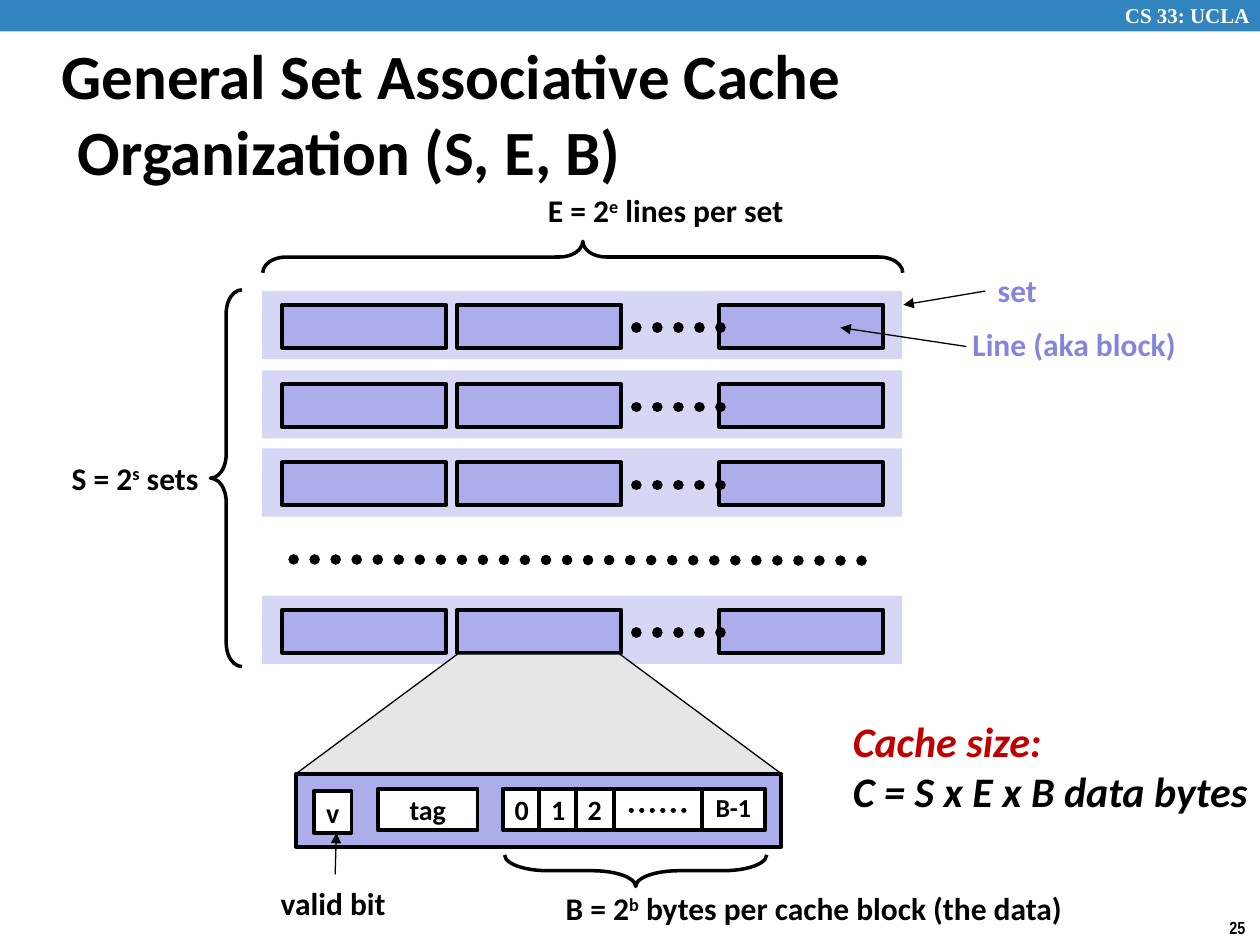
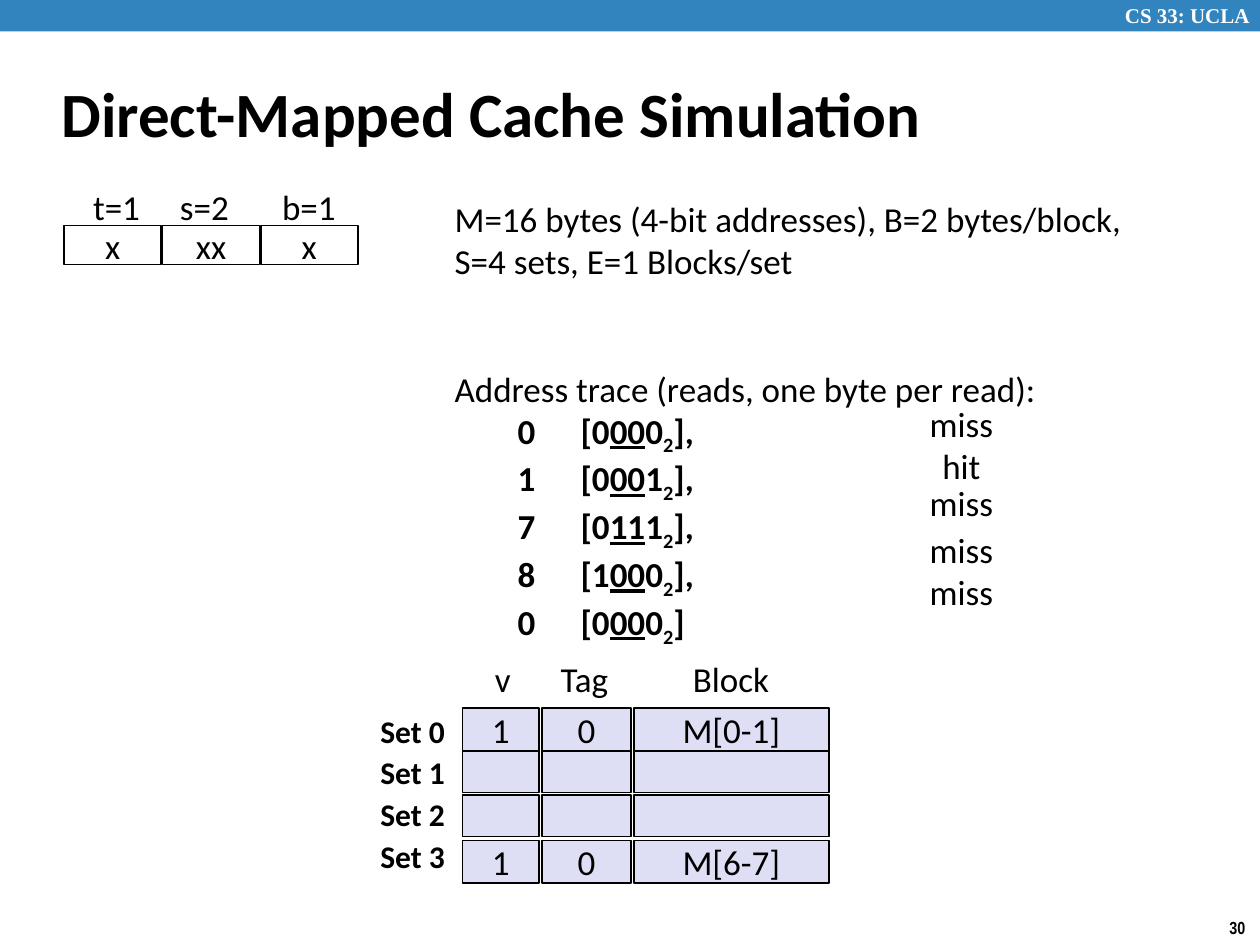
from pptx import Presentation
from pptx import util as u
from pptx.dml.color import RGBColor
from pptx.enum import dml, shapes, text
from pptx.oxml import ns
from lxml import etree

In = u.Inches
BLACK = RGBColor(0, 0, 0)
WHITE = RGBColor(255, 255, 255)
BLUE = RGBColor(0x32, 0x84, 0xBF)
PALE = RGBColor(0xD6, 0xD6, 0xF5)
LILAC = RGBColor(0xAD, 0xAD, 0xEB)
VIOLET = RGBColor(0x85, 0x85, 0xE0)
GREY = RGBColor(0xE6, 0xE6, 0xE6)
CELL = RGBColor(0xDE, 0xDF, 0xF5)
RED = RGBColor(0xC0, 0, 0)

KIND = shapes.MSO_SHAPE
CENTER = text.PP_ALIGN.CENTER
MIDDLE = text.MSO_ANCHOR.MIDDLE

PLAIN = dict(size=20)
BOLD = dict(size=18, bold=True)
TITLE = dict(size=36, bold=True)
BYTE = dict(size=16, bold=True)


def add_run(para, words, name="Calibri", size=18, color=BLACK, base=0, **fmt):
    run = para.add_run()
    run.text = words
    run.font.color.rgb = color
    for key, value in dict(fmt, name=name, size=u.Pt(size)).items():
        setattr(run.font, key, value)
    if base:
        run._r.get_or_add_rPr().set("baseline", str(base * 1000))


def write(frame, paras, fmt, **layout):
    """Fill a frame; each paragraph is a string or a list of (words, changes)."""
    for i, parts in enumerate(paras):
        para = frame.paragraphs[0] if i == 0 else frame.add_paragraph()
        for key, value in layout.items():
            setattr(para, key, value)
        if isinstance(parts, str):
            parts = [(parts, {})]
        for words, change in parts:
            add_run(para, words, **{**fmt, **change})


def label(slide, at, paras, fmt, wrap=False, **layout):
    box = slide.shapes.add_textbox(*map(In, at))
    frame = box.text_frame
    frame.word_wrap = wrap
    frame.auto_size = text.MSO_AUTO_SIZE.SHAPE_TO_FIT_TEXT
    write(frame, [paras] if isinstance(paras, str) else paras, fmt, **layout)
    return frame


def block(slide, at, fill=None, line=None, kind=KIND.RECTANGLE, adj=(), turn=0,
          words="", fmt=PLAIN, **layout):
    """Preset shape; without a fill or a line width that part stays empty."""
    shape = slide.shapes.add_shape(kind, *map(In, at))
    shape.shadow.inherit = False
    shape.rotation = turn
    for i, value in enumerate(adj):
        shape.adjustments[i] = value
    if fill is None:
        shape.fill.background()
    else:
        shape.fill.solid()
        shape.fill.fore_color.rgb = fill
    if line is None:
        shape.line.fill.background()
    else:
        shape.line.color.rgb = BLACK
        shape.line.width = u.Pt(line)
    if words:
        frame = shape.text_frame
        frame.word_wrap = False
        frame.vertical_anchor = MIDDLE
        write(frame, [words], fmt, alignment=CENTER, **layout)


def link(slide, start, end, width):
    line = slide.shapes.add_connector(
        shapes.MSO_CONNECTOR.STRAIGHT, *map(In, start + end))
    line.line.color.rgb = BLACK
    line.line.width = u.Pt(width)
    etree.SubElement(line._element.spPr, ns.qn("a:effectLst"))
    return line.line


def dots(slide, start, end, width=6):
    line = link(slide, start, end, width)
    line.dash_style = dml.MSO_LINE.ROUND_DOT
    line._get_or_add_ln().set("cap", "rnd")


def arrow(slide, start, end):
    line = link(slide, start, end, 0.75)
    etree.SubElement(line._get_or_add_ln(), ns.qn("a:tailEnd"), type="triangle")


def brace(slide, at, bend=0.75, turn=0):
    block(slide, at, line=2, kind=KIND.LEFT_BRACE, adj=(bend, 0.5), turn=turn)


def power(lead, top, rest=""):
    return [[(lead, {}), (top, dict(base=30)), (rest, {})]]


def start(deck, title, at, page):
    """Add a slide with the top band, page number and title."""
    slide = deck.slides.add_slide(deck.slide_layouts[6])
    block(slide, (0, 0, 10, 0.25), BLUE)
    label(slide, (8.83, -0.03, 1.24, 0.3), "CS 33: UCLA",
          dict(name="Times New Roman", size=12, bold=True, color=WHITE), wrap=True)
    label(slide, (9.66, 7.23, 0.34, 0.27), page,
          dict(name="Arial Narrow", size=10, bold=True))
    frame = label(slide, at, title, TITLE, wrap=True)
    frame.auto_size = text.MSO_AUTO_SIZE.NONE
    frame.vertical_anchor = MIDDLE
    props = frame.paragraphs[0]._p.get_or_add_pPr()
    props.set("marL", str(In(0.13)))
    props.set("indent", str(-In(0.13)))
    return slide


def cache_set(slide, top):
    block(slide, (2.08, top, 5.08, 0.54), PALE)
    for left in (2.24, 3.63, 5.71):
        block(slide, (left, top + 0.11, 1.3, 0.34), LILAC, 2.25)
    dots(slide, (5.05, top + 0.29), (5.72, top + 0.29))


def cache_line(slide):
    """Zoomed view of one line: valid bit, tag and bytes."""
    block(slide, (2.35, 5.19, 3.85, 0.95), GREY, 0.75, KIND.TRAPEZOID, (1.35,))
    block(slide, (2.35, 6.14, 3.85, 0.58), LILAC, 2.25)
    fields = [(3.99 + 0.29 * i, 6.26, 0.3, str(i)) for i in range(3)]
    fields += [(4.87, 6.26, 0.7, ""), (3, 6.26, 0.79, "tag"), (2.49, 6.28, 0.3, "v")]
    for left, top, width, words in fields:
        block(slide, (left, top, width, 0.33), WHITE, 2.25, words=words, fmt=BYTE)
    block(slide, (5.57, 6.26, 0.5, 0.33), WHITE, 2.25, words="B-1",
          fmt=dict(size=14.8, bold=True), line_spacing=0.9)
    dots(slide, (5.01, 6.43), (5.51, 6.43), 3)


def organization(deck):
    slide = start(deck, "General Set Associative Cache Organization (S, E, B)",
                  (0.39, 0.33, 8.3, 1.12), "25")
    for top in (2.31, 2.94, 3.56, 4.73):
        cache_set(slide, top)
    dots(slide, (2.33, 4.44), (7, 4.45))
    cache_line(slide)

    brace(slide, (4.5, -0.5, 0.25, 5.08), turn=90)
    brace(slide, (1.67, 2.3, 0.25, 2.99))
    brace(slide, (4.92, 5.87, 0.25, 2.08), 1.37, 270)

    arrow(slide, (7.82, 2.31), (7.17, 2.42))
    arrow(slide, (7.67, 2.75), (6.67, 2.6))
    arrow(slide, (2.66, 6.94), (2.67, 6.61))

    label(slide, (4.25, 1.47, 2.14, 0.4), power("E = 2", "e", " lines per set"), BOLD)
    label(slide, (0.47, 3.59, 1.23, 0.4), power("S = 2", "s", " sets"), BOLD)
    label(slide, (4.39, 7.01, 4.29, 0.4),
          power("B = 2", "b", " bytes per cache block (the data)"), BOLD)
    label(slide, (2.13, 6.97, 1.04, 0.4), "valid bit", BOLD)
    tint = dict(BOLD, color=VIOLET)
    label(slide, (7.82, 2.1, 0.51, 0.4), "set", tint)
    label(slide, (7.62, 2.53, 1.83, 0.4), "Line (aka block)", tint)
    label(slide, (6.67, 5.63, 3.45, 0.91),
          [[("Cache size:", dict(color=RED))], "C = S x E x B data bytes"],
          dict(size=24, bold=True, italic=True))


def trace(addr, bits, tail):
    """One read: address, then its bits with the set index underlined."""
    parts = [(f"\t{addr}\t[{bits[0]}", {}), (bits[1:3], dict(underline=True)),
             (bits[3], {}), ("2", dict(base=-25)), ("]" + tail, {})]
    return [(words, dict(change, bold=True)) for words, change in parts]


def simulation(deck):
    slide = start(deck, "Direct-Mapped Cache Simulation",
                  (0.39, 0.48, 8.3, 0.83), "30")
    reads = (0, 1, 7, 8, 0)
    paras = ["M=16 bytes (4-bit addresses), B=2 bytes/block,",
             "S=4 sets, E=1 Blocks/set",
             "Address trace (reads, one byte per read):"]
    paras += [trace(addr, f"{addr:04b}", "," if i < len(reads) - 1 else "")
              for i, addr in enumerate(reads)]
    frame = label(slide, (3.51, 1.52, 6.74, 3.46), paras, PLAIN, wrap=True)
    frame.paragraphs[2].space_before = u.Pt(48.8)

    for i, bits in enumerate(("x", "xx", "x")):
        block(slide, (0.51 + 0.78 * i, 1.79, 0.77, 0.31), WHITE, 1, words=bits)
    heads = [(0.64, 1.42, 0.58, "t=1"), (1.33, 1.42, 0.59, "s=2"),
             (2.14, 1.42, 0.63, "b=1"), (3.83, 5.17, 0.34, "v"),
             (4.35, 5.17, 0.58, "Tag"), (5.4, 5.17, 0.81, "Block")]
    for left, top, width, words in heads:
        label(slide, (left, top, width, 0.43), words, PLAIN)

    results = [(3.25, "miss"), (3.58, "hit"), (3.88, "miss"),
               (4.25, "miss"), (4.58, "miss")]
    for top, words in results:
        width = 0.51 if words == "hit" else 0.71
        label(slide, (7.635 - width / 2, top, width, 0.34), words, PLAIN,
              line_spacing=0.65)

    cols = ((3.67, 0.61), (4.3, 0.71), (5.03, 1.55))
    rows = [(5.62, ("1", "0", "M[0-1]")), (5.96, ("",) * 3),
            (6.31, ("",) * 3), (6.67, ("1", "0", "M[6-7]"))]
    for i, (top, row) in enumerate(rows):
        for (left, width), words in zip(cols, row):
            high = 0.34 if words else 0.33
            block(slide, (left, top, width, high), CELL, 1, words=words)
        label(slide, (2.92, 5.6 + 0.33 * i, 0.72, 0.4), f"Set {i}", BOLD)


def main():
    deck = Presentation()
    deck.slide_width, deck.slide_height = In(10), In(7.5)
    organization(deck)
    simulation(deck)
    deck.save("out.pptx")


if __name__ == "__main__":
    main()
